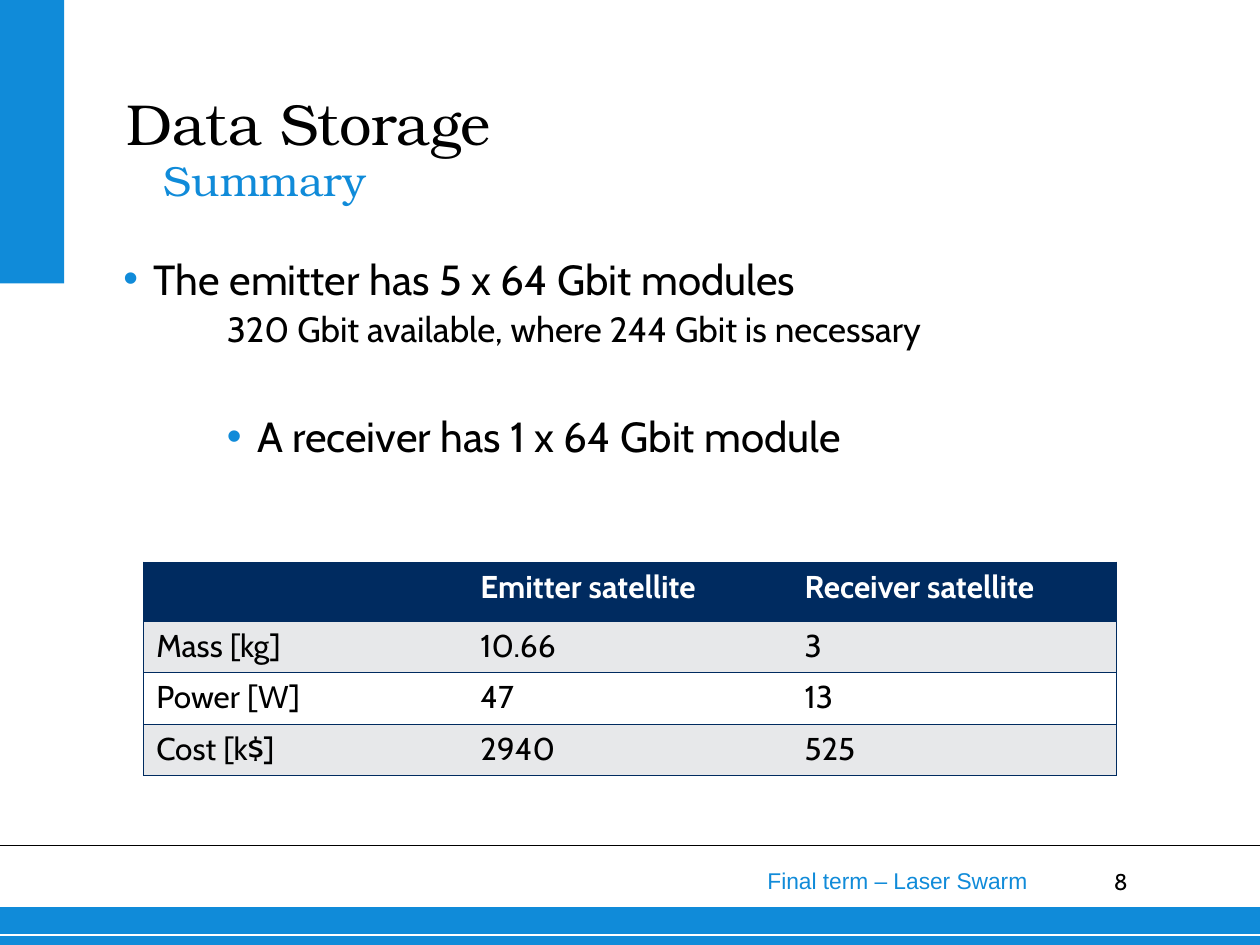
from dataclasses import dataclass

from lxml import etree
from pptx import Presentation
from pptx.dml.color import RGBColor
from pptx.enum import shapes, text
from pptx.oxml import ns
from pptx.util import Inches, Pt

HUES = {"blue": "108BD9", "navy": "002B60", "grey": "E7E8EA",
        "black": "000000", "white": "FFFFFF"}
SERIF, SANS, PLAIN = "TeX Gyre Bonum", "Cabin", "Arial"


@dataclass
class Box:
    x: float
    y: float
    w: float
    h: float

    def lengths(self) -> list:
        return [Inches(v) for v in (self.x, self.y, self.w, self.h)]


@dataclass
class Item:
    words: str
    size: int
    left: float
    hang: float = 0
    before: int = 0
    level: int = 0


def hue(name: str) -> RGBColor:
    return RGBColor.from_string(HUES[name])


def add(parent, tag: str, **attrs):
    return etree.SubElement(parent, ns.qn(tag), attrs)


def style(par, size: float, face: str, color: str, bold: bool = False) -> None:
    font = par.font
    font.size, font.name, font.bold = Pt(size), face, bold
    font.color.rgb = hue(color)


def frame(shape, inset: float = 0, anchor=text.MSO_ANCHOR.TOP):
    body = shape.text_frame
    body.word_wrap, body.auto_size = True, text.MSO_AUTO_SIZE.NONE
    body.margin_left = body.margin_right = Inches(inset)
    body.margin_top = body.margin_bottom = Inches(inset / 2)
    body.vertical_anchor = anchor
    return body


def place(shape, box: Box) -> None:
    shape.left, shape.top, shape.width, shape.height = box.lengths()


def label(slide, box: Box, words: str, size: float, face: str, color: str,
          align=text.PP_ALIGN.LEFT, inset: float = 0) -> None:
    par = frame(slide.shapes.add_textbox(*box.lengths()), inset).paragraphs[0]
    par.text, par.alignment = words, align
    style(par, size, face, color)


def bar(slide, box: Box) -> None:
    shape = slide.shapes.add_shape(shapes.MSO_SHAPE.RECTANGLE, *box.lengths())
    shape.shadow.inherit = False
    shape.fill.solid()
    shape.fill.fore_color.rgb = hue("blue")
    shape.line.fill.background()


def rule(slide, y: float, color: str, width: float) -> None:
    line = slide.shapes.add_connector(
        shapes.MSO_CONNECTOR.STRAIGHT, 0, Inches(y), Inches(10), Inches(y))
    line.line.color.rgb, line.line.width = hue(color), Pt(width)
    add(line._element.spPr, "a:effectLst")


def bullet(par, item: Item) -> None:
    props = par._p.get_or_add_pPr()
    props.set("marL", str(Inches(item.left + item.hang)))
    props.set("indent", str(-Inches(item.hang)))
    if item.hang:
        add(add(props, "a:buClr"), "a:srgbClr", val=HUES["blue"])
        add(props, "a:buFont", typeface=PLAIN)
        add(props, "a:buChar", char="•")
    else:
        add(props, "a:buNone")


def fill_list(body, items: list[Item]) -> None:
    for i, item in enumerate(items):
        par = body.add_paragraph() if i else body.paragraphs[0]
        par.text, par.level = item.words, item.level
        par.line_spacing, par.space_before = 1.1, Pt(item.before)
        bullet(par, item)
        style(par, item.size, SANS, "black")


def edge(cell, side: str, shown: bool) -> None:
    line = add(cell._tc.get_or_add_tcPr(), f"a:ln{side}", w=str(Pt(0.45)))
    if shown:
        add(add(line, "a:solidFill"), "a:srgbClr", val=HUES["navy"])
    else:
        add(line, "a:noFill")


def grid(slide, box: Box, rows: list[tuple], tops: list[float]) -> None:
    count = len(rows[0])
    table = slide.shapes.add_table(len(rows), count, *box.lengths()).table
    table.horz_banding = False
    for r, row in enumerate(rows):
        table.rows[r].height = Inches(tops[r])
        head = r == 0
        back = "navy" if head else ("white", "grey")[r % 2]
        for c, words in enumerate(row):
            cell = table.cell(r, c)
            shown = {"L": c == 0, "R": c == count - 1, "T": True, "B": True}
            for side, drawn in shown.items():
                edge(cell, side, drawn)
            cell.fill.solid()
            cell.fill.fore_color.rgb = hue(back)
            cell.text = words
            style(cell.text_frame.paragraphs[0], 18, SANS,
                  "white" if head else "black", head)


def main() -> None:
    deck = Presentation()
    deck.slide_width, deck.slide_height = Inches(10), Inches(7.5)
    slide = deck.slides.add_slide(deck.slide_layouts[1])
    right = text.PP_ALIGN.RIGHT

    # Bars, rules and footer
    bar(slide, Box(0, 7.2, 10, 0.3))
    bar(slide, Box(0, 0, 0.51, 2.25))
    rule(slide, 7.42, "white", 0.75)
    rule(slide, 6.71, "black", 1)
    label(slide, Box(3.42, 6.83, 4.83, 0.32), "Final term – Laser Swarm",
          13, PLAIN, "blue", right, 0.1)
    label(slide, Box(8.36, 6.89, 0.59, 0.28), "8", 13, SANS, "black", right)

    # Title and subtitle
    title = slide.shapes.title
    place(title, Box(1, 0.08, 7.83, 1.17))
    par = frame(title, anchor=text.MSO_ANCHOR.BOTTOM).paragraphs[0]
    par.text, par.alignment = "Data Storage", text.PP_ALIGN.LEFT
    style(par, 33, SERIF, "black")
    label(slide, Box(1.3, 1.23, 7.88, 0.4), "Summary", 24, SERIF, "blue")

    # List
    body = slide.placeholders[1]
    place(body, Box(0.98, 1.97, 8.36, 2.57))
    fill_list(frame(body), [
        Item("The emitter has 5 x 64 Gbit modules", 24, 0, 0.24),
        Item("320 Gbit available, where 244 Gbit is necessary", 20, 0.82,
             level=1),
        Item("A receiver has 1 x 64 Gbit module", 24, 0.82, 0.24, 32),
    ])

    # Table
    grid(slide, Box(1.14, 4.46, 7.72, 1.69), [
        ("", "Emitter satellite", "Receiver satellite"),
        ("Mass [kg]", "10.66", "3"),
        ("Power [W]", "47", "13"),
        ("Cost [k$]", "2940", "525"),
    ], [0.47, 0.4, 0.41, 0.41])

    deck.save("out.pptx")


if __name__ == "__main__":
    main()
